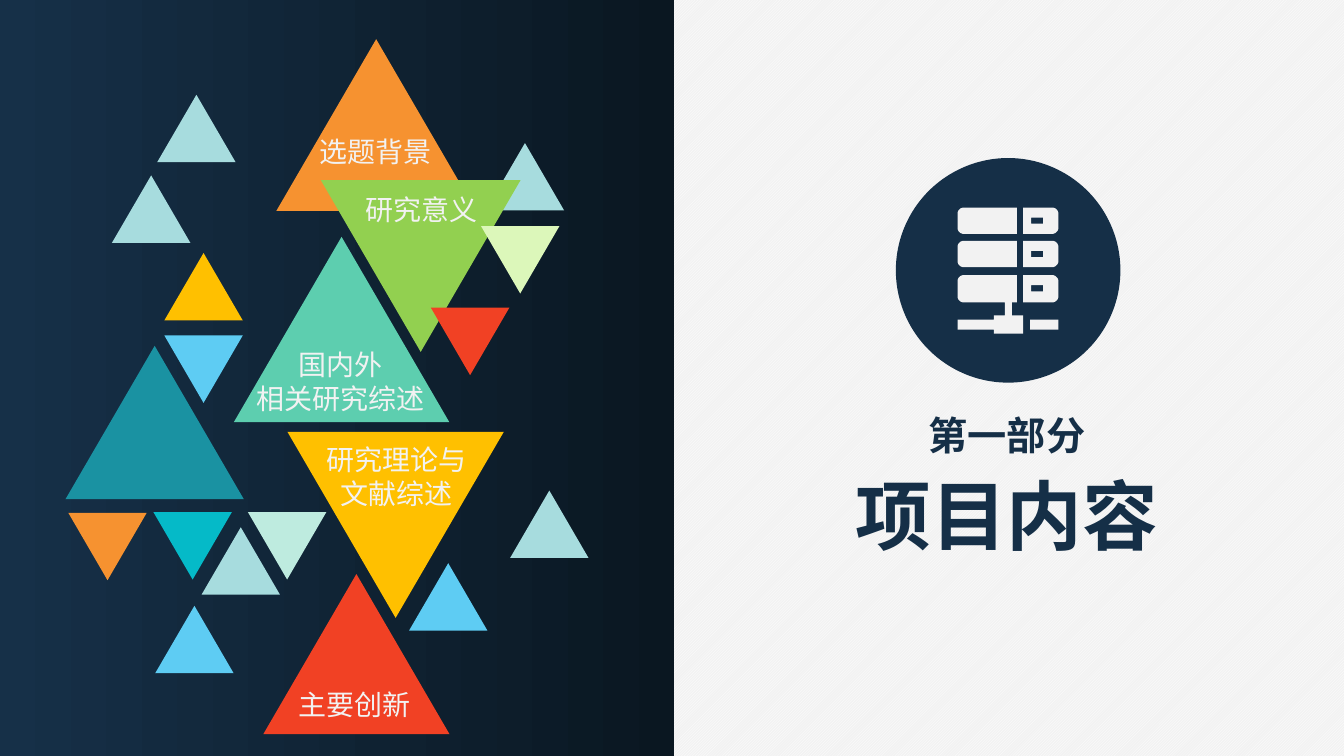
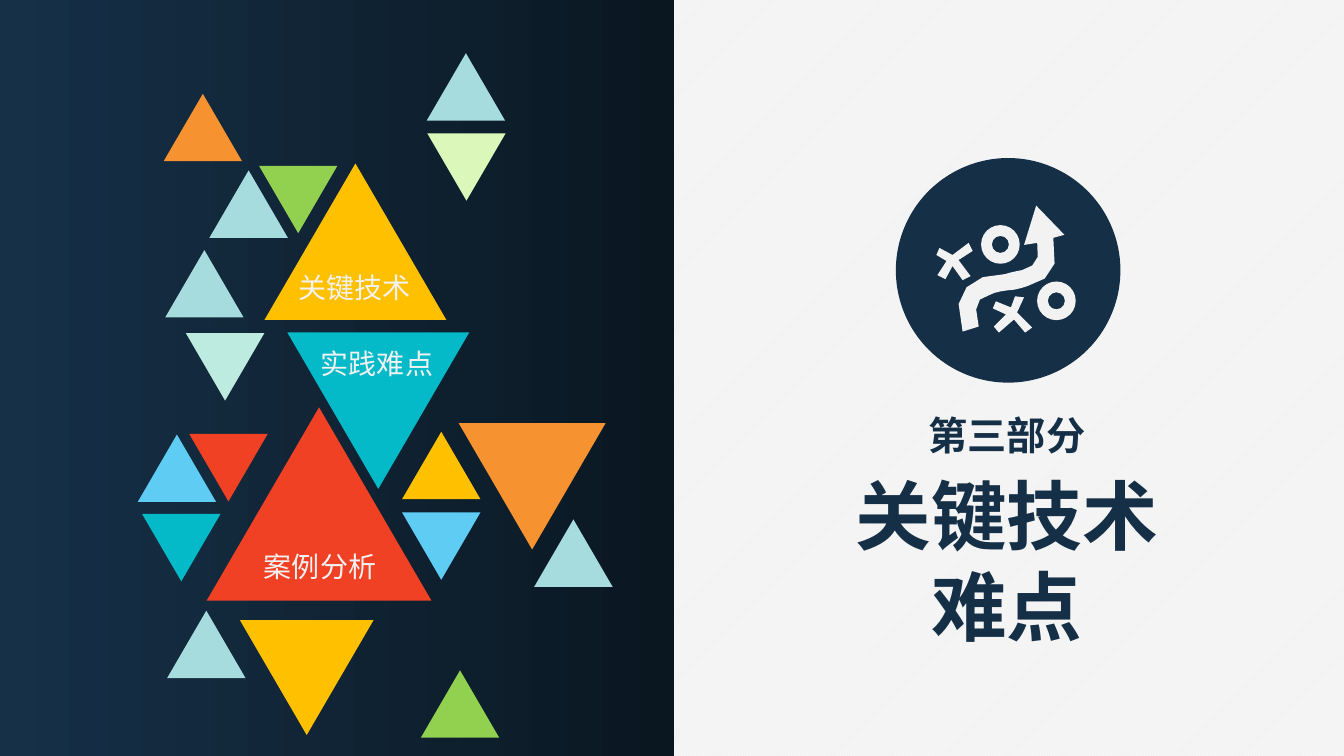
"""Build two section divider slides with triangle mosaics and round icons."""
from lxml import etree
from pptx import Presentation
from pptx.dml.color import RGBColor
from pptx.enum.dml import MSO_PATTERN
from pptx.enum.shapes import MSO_SHAPE
from pptx.enum.text import MSO_ANCHOR, MSO_AUTO_SIZE, PP_ALIGN
from pptx.oxml.ns import qn
from pptx.util import Pt

TRIANGLE, OVAL = MSO_SHAPE.ISOSCELES_TRIANGLE, MSO_SHAPE.OVAL
RECTANGLE, DONUT = MSO_SHAPE.RECTANGLE, MSO_SHAPE.DONUT
CENTER, TOP, FIXED = PP_ALIGN.CENTER, MSO_ANCHOR.TOP, MSO_AUTO_SIZE.NONE
DIAGONAL = MSO_PATTERN.LIGHT_UPWARD_DIAGONAL

FONT = "Noto Sans CJK SC"
WHITE = RGBColor(0xFF, 0xFF, 0xFF)
PAPER = RGBColor(0xF2, 0xF2, 0xF2)
NAVY = RGBColor(0x15, 0x2F, 0x47)
PANEL_START = RGBColor(0x16, 0x30, 0x48)
PANEL_END = RGBColor(0x0A, 0x17, 0x21)
MIST = RGBColor(0xA7, 0xDC, 0xDE)
MINT = RGBColor(0xBE, 0xEB, 0xDF)
JADE = RGBColor(0x5D, 0xCE, 0xAF)
TEAL = RGBColor(0x1A, 0x92, 0xA2)
SKY = RGBColor(0x5E, 0xCC, 0xF3)
ORANGE = RGBColor(0xF6, 0x92, 0x30)
GREEN = RGBColor(0x92, 0xD0, 0x50)
LIME = RGBColor(0xDC, 0xF7, 0xBA)
CYAN = RGBColor(0x05, 0xBA, 0xC8)
GOLD = RGBColor(0xFF, 0xC0, 0x00)
RED = RGBColor(0xF1, 0x41, 0x24)

SMALL = 56
UP, DOWN = 0, 180
TRIANGLE_RATIO = 0.86
LABEL_SIZE, PART_SIZE, TITLE_SIZE = 20, 28, 54
LINE_HEIGHT = 1.2
MARGIN_X, MARGIN_Y = 7.2, 3.6
SLACK = 2
AXIS = 719.2
ICON_UNIT = Pt(0.72)
RING_SIZE, RING_BAND = 27.6, 0.28
CURVE_STEPS = 3


def block(left, top, right, bottom):
    return [(left, top), (right, top), (right, bottom), (left, bottom)]


def server_unit(top, bottom):
    def half(inner, outer, side):
        corner = outer - 5 * side
        return [(inner, top), (inner, bottom), (corner, bottom),
                (corner + 2 * side, bottom, outer, bottom - 3, outer, bottom - 5),
                (outer, top + 5),
                (outer, top + 3, corner + 2 * side, top, corner, top)]
    return [half(1009, 950, -1), half(1015, 1050, 1), block(1023, top + 10, 1035, top + 16)]


SERVER_ICON = [
    *server_unit(206, 232), *server_unit(239, 265), *server_unit(273, 300),
    block(1022, 317, 1050, 327),
    [(1015, 313), (1015, 331), (986, 331), (986, 327), (950, 327), (950, 317),
     (986, 317), (986, 313), (997, 313), (997, 300), (1004, 300), (1004, 313)],
]
STRATEGY_ICON = [
    [(955, 329), (944, 295, 956, 283, 975, 275), (982, 274, 990, 273, 997, 272),
     (1003, 270, 1009, 269, 1014, 268), (1026, 265, 1033, 258, 1029, 241),
     (1016, 243), (1028, 204), (1056, 233), (1045, 236),
     (1053, 268, 1039, 279, 1019, 284), (1013, 286, 1006, 288, 1000, 288),
     (993, 289, 986, 290, 981, 293), (970, 295, 965, 303, 971, 324)],
    [(932, 246), (929, 253), (939, 259), (930, 273), (938, 277), (945, 264),
     (955, 278), (963, 274), (951, 258), (965, 249), (961, 241), (945, 253)],
    [(1016, 295), (1007, 294), (1003, 305), (988, 299), (985, 306), (998, 312),
     (986, 324), (991, 330), (1006, 317), (1017, 330), (1024, 325), (1009, 310)],
]

SECTIONS = [
    {
        "part": "第一部分",
        "title": ["项目内容"],
        "icon": SERVER_ICON,
        "rings": [],
        "triangles": [
            (80, 125.3, SMALL, UP, MIST), (347, 102.2, SMALL, UP, MIST),
            (177.1, 365.8, SMALL, DOWN, MINT), (167, 169.2, 154, UP, JADE),
            (46.8, 247, 127.4, UP, TEAL), (144, 376.6, SMALL, UP, MIST),
            (110.9, 432.7, SMALL, UP, SKY), (197.4, 28, 142.6, UP, ORANGE),
            (112.3, 67.7, SMALL, UP, MIST), (229.2, 128.7, 142.6, DOWN, GREEN),
            (343.6, 161.5, SMALL, DOWN, LIME), (109.6, 365.8, SMALL, DOWN, CYAN),
            (48.8, 366.3, SMALL, DOWN, ORANGE), (117.4, 180.7, SMALL, UP, GOLD),
            (117.4, 239.6, SMALL, DOWN, SKY), (307.8, 219.8, SMALL, DOWN, RED),
            (188.1, 410, 133, UP, RED), (364.4, 350.4, SMALL, UP, MIST),
            (205.3, 308.4, 154.6, DOWN, GOLD), (292.2, 402.3, SMALL, UP, SKY),
        ],
        "labels": [
            (["国内外", "相关研究综述"], 243.2, 244.8), (["选题背景"], 268.3, 92.2),
            (["研究意义"], 301.4, 133.9), (["研究理论与", "文献综述"], 283.3, 312.5),
            (["主要创新"], 253.4, 487.4),
        ],
    },
    {
        "part": "第三部分",
        "title": ["关键技术", "难点"],
        "icon": STRATEGY_ICON,
        "rings": [(714.6, 174.6), (754.6, 214.9)],
        "triangles": [
            (118, 178.6, SMALL, UP, MIST), (304.8, 38, SMALL, UP, MIST),
            (132.8, 238, SMALL, DOWN, MINT), (205.2, 237.4, 130, DOWN, CYAN),
            (147.6, 291, 160.6, UP, RED), (119.4, 436.2, SMALL, UP, MIST),
            (98.4, 310.4, SMALL, UP, SKY), (116.9, 67, SMALL, UP, ORANGE),
            (149.6, 121.7, SMALL, UP, MIST), (185, 118.4, SMALL, DOWN, GREEN),
            (305.2, 95.2, SMALL, DOWN, LIME), (101.5, 367.1, SMALL, DOWN, CYAN),
            (327.6, 302.2, 105, DOWN, ORANGE), (287.2, 308.4, SMALL, UP, GOLD),
            (287.2, 366, SMALL, DOWN, SKY), (135.2, 310, SMALL, DOWN, RED),
            (171.4, 443, 95.4, DOWN, GOLD), (381.6, 371, SMALL, UP, MIST),
            (188.9, 116.8, 130, UP, GOLD), (300.6, 478.8, SMALL, UP, GREEN),
        ],
        "labels": [
            (["关键技术"], 253.4, 189.4), (["实践难点"], 269.3, 244.1),
            (["案例分析"], 228.6, 388.8),
        ],
    },
]


def clean(shape, color):
    shape.shadow.inherit = False
    shape.fill.solid()
    shape.fill.fore_color.rgb = color
    shape.line.fill.background()


def fill_text(shape, lines, center, top, size, color, bold=False):
    width = max(map(len, lines)) * size + 2 * MARGIN_X + SLACK
    shape.left, shape.top = Pt(center - width / 2), Pt(top)
    shape.width = Pt(width)
    shape.height = Pt(len(lines) * size * LINE_HEIGHT + 2 * MARGIN_Y)
    frame = shape.text_frame
    frame.word_wrap = False
    frame.auto_size = FIXED
    frame.vertical_anchor = TOP
    for index, line in enumerate(lines):
        paragraph = frame.add_paragraph() if index else frame.paragraphs[0]
        paragraph.alignment = CENTER
        paragraph.space_before = Pt(0)
        run = paragraph.add_run()
        run.text = line
        font = run.font
        font.size, font.bold, font.name = Pt(size), bold, FONT
        font.color.rgb = color
        etree.SubElement(run._r.get_or_add_rPr(), qn("a:ea"), typeface=FONT)


def flatten(contour):
    points = []
    for node in contour:
        if len(node) == 2:
            points.append(node)
            continue
        controls = (points[-1], node[:2], node[2:4], node[4:])
        for step in range(1, CURVE_STEPS + 1):
            t = step / CURVE_STEPS
            weights = ((1 - t) ** 3, 3 * t * (1 - t) ** 2, 3 * t * t * (1 - t), t ** 3)
            points.append(tuple(
                sum(weight * point[axis] for weight, point in zip(weights, controls))
                for axis in (0, 1)))
    return [(x * ICON_UNIT, y * ICON_UNIT) for x, y in points]


def add_icon(slide, contours, rings):
    disc = slide.shapes.add_shape(OVAL, Pt(639.9), Pt(112.9), Pt(160.4), Pt(160.4))
    clean(disc, NAVY)
    outlines = [flatten(contour) for contour in contours]
    builder = slide.shapes.build_freeform(*outlines[0][0])
    for index, outline in enumerate(outlines):
        if index:
            builder.move_to(*outline[0])
        builder.add_line_segments(outline[1:], close=True)
    clean(builder.convert_to_shape(), PAPER)
    for x, y in rings:
        ring = slide.shapes.add_shape(
            DONUT, Pt(x - RING_SIZE / 2), Pt(y - RING_SIZE / 2), Pt(RING_SIZE), Pt(RING_SIZE))
        ring.adjustments[0] = RING_BAND
        clean(ring, PAPER)


def style_layout(layout, slide):
    fill = layout.background.fill
    fill.patterned()
    fill.pattern = DIAGONAL
    fill.fore_color.rgb, fill.back_color.rgb = WHITE, PAPER
    panel = slide.shapes.add_shape(RECTANGLE, 0, 0, Pt(481.7), Pt(540))
    clean(panel, NAVY)
    panel.fill.gradient()
    panel.fill.gradient_angle = 0
    for stop, color, position in zip(panel.fill.gradient_stops, (PANEL_START, PANEL_END), (0, 1)):
        stop.color.rgb, stop.position = color, position
    layout.shapes.element.insert(2, panel.element)


def build_section(slide, section):
    title, part = slide.placeholders
    fill_text(title, section["title"], AXIS, 331.2, TITLE_SIZE, NAVY, True)
    fill_text(part, [section["part"]], AXIS, 290.2, PART_SIZE, NAVY, True)
    add_icon(slide, section["icon"], section["rings"])
    for left, top, width, turn, color in section["triangles"]:
        triangle = slide.shapes.add_shape(
            TRIANGLE, Pt(left), Pt(top), Pt(width), Pt(width * TRIANGLE_RATIO))
        triangle.rotation = turn
        clean(triangle, color)
    for lines, center, top in section["labels"]:
        label = slide.shapes.add_textbox(0, 0, 0, 0)
        fill_text(label, lines, center, top, LABEL_SIZE, PAPER)


def main():
    presentation = Presentation()
    presentation.slide_width, presentation.slide_height = Pt(960), Pt(540)
    layout = presentation.slide_layouts[0]
    slides = [presentation.slides.add_slide(layout) for _ in SECTIONS]
    style_layout(layout, slides[0])
    for slide, section in zip(slides, SECTIONS):
        build_section(slide, section)
    presentation.save("out.pptx")


if __name__ == "__main__":
    main()
